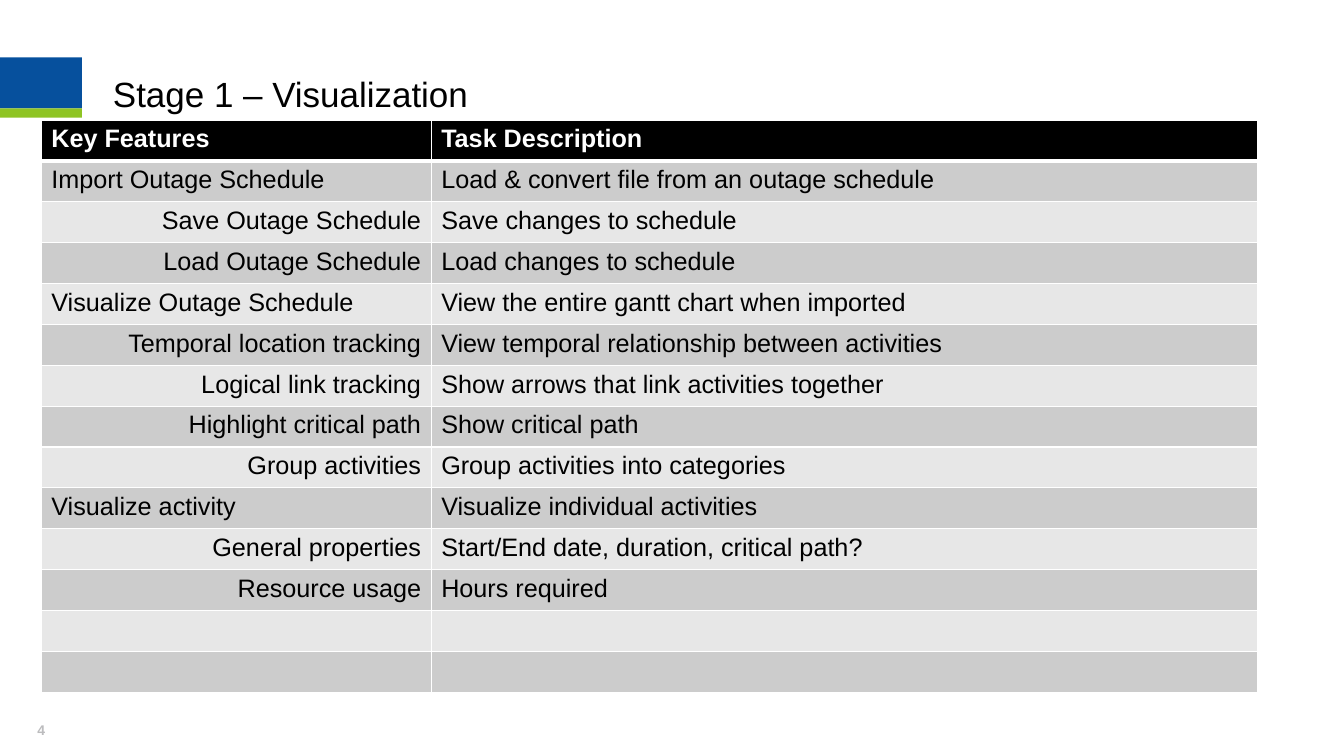
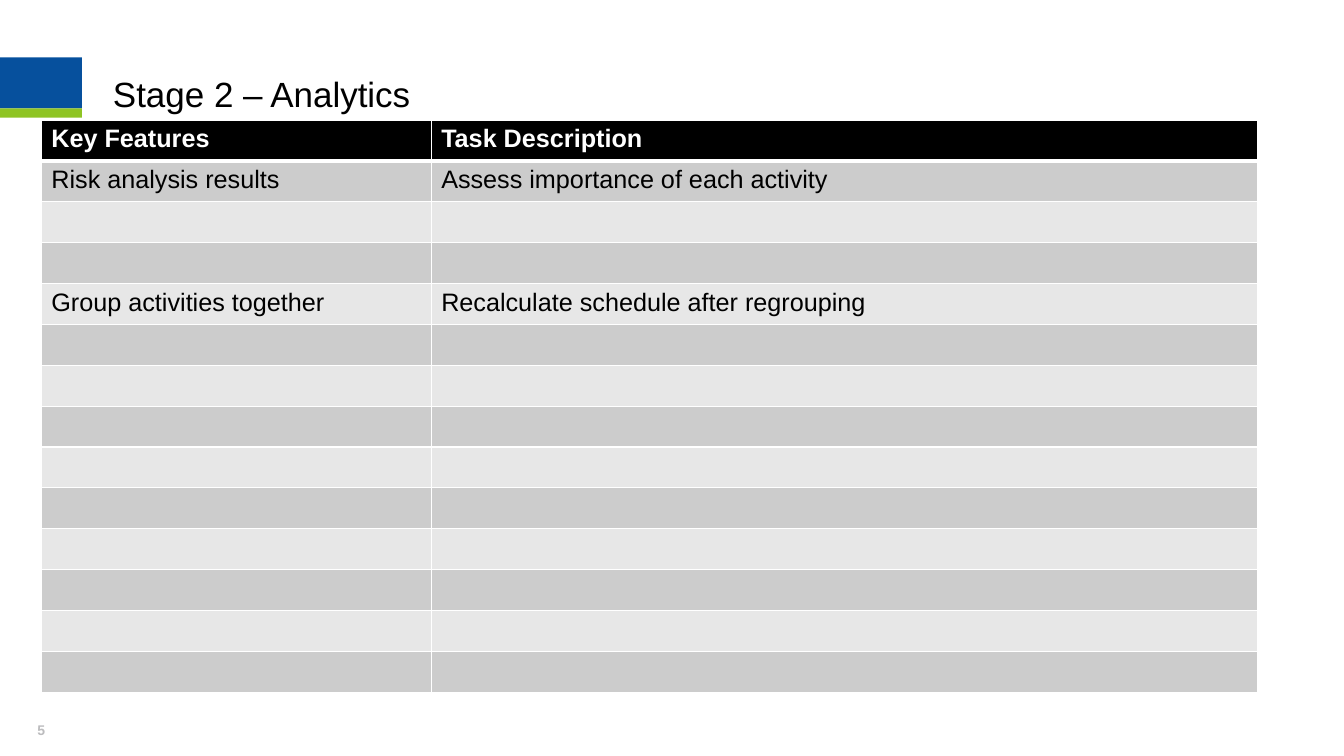
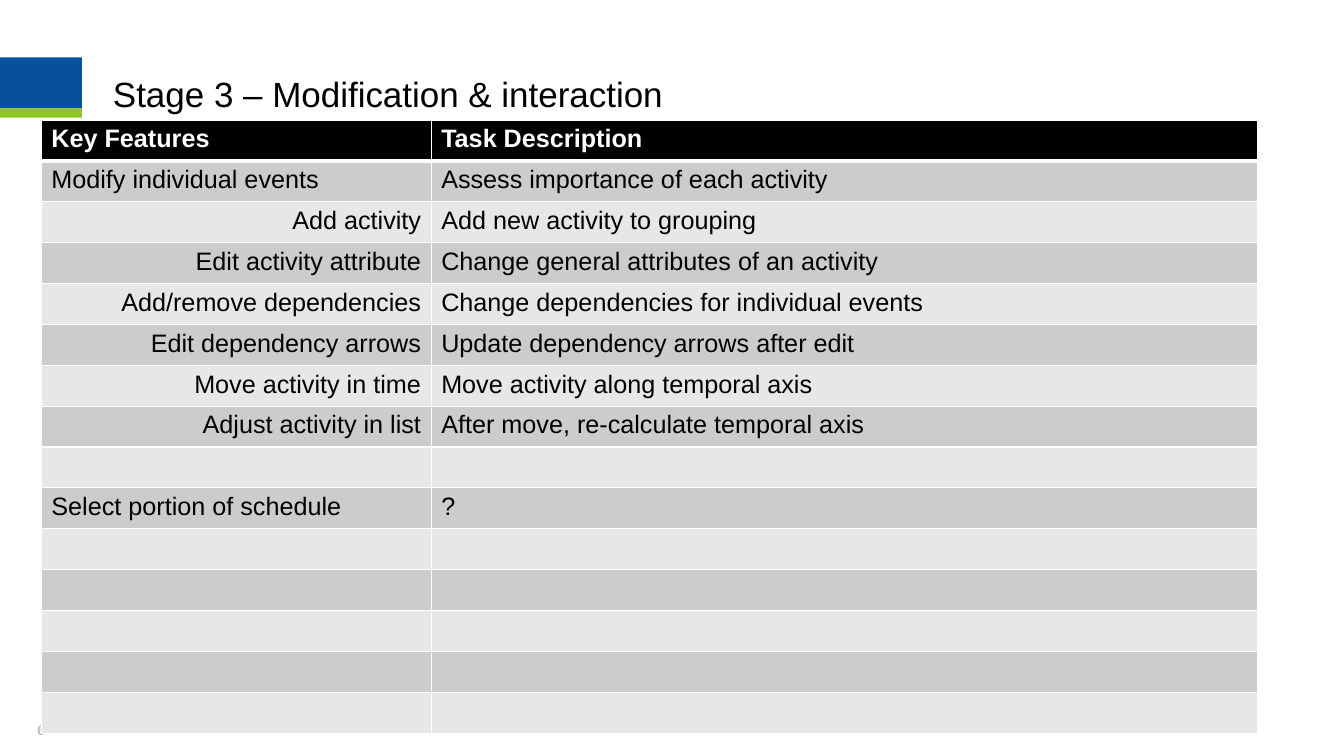
from pptx import Presentation
from pptx import util as u
from pptx.dml.color import RGBColor
from pptx.enum import shapes, text
from pptx.oxml import parse_xml
from pptx.oxml.ns import nsdecls

HEADINGS = ("Key Features", "Task Description")
BLANK = ("", "", 0)
STAGES = [
    {"title": "Stage 1 – Visualization", "title_width": 407, "rows": [
        ("Import Outage Schedule", "Load & convert file from an outage schedule", 0),
        ("Save Outage Schedule", "Save changes to schedule", 1),
        ("Load Outage Schedule", "Load changes to schedule", 1),
        ("Visualize Outage Schedule", "View the entire gantt chart when imported", 0),
        ("Temporal location tracking", "View temporal relationship between activities", 1),
        ("Logical link tracking", "Show arrows that link activities together", 1),
        ("Highlight critical path", "Show critical path", 1),
        ("Group activities", "Group activities into categories", 1),
        ("Visualize activity", "Visualize individual activities", 0),
        ("General properties", "Start/End date, duration, critical path?", 1),
        ("Resource usage", "Hours required", 1),
        *[BLANK] * 2,
    ]},
    {"title": "Stage 2 – Analytics", "title_width": 407, "rows": [
        ("Risk analysis results", "Assess importance of each activity", 0),
        *[BLANK] * 2,
        ("Group activities together", "Recalculate schedule after regrouping", 0),
        *[BLANK] * 9,
    ]},
    {"title": "Stage 3 – Modification & interaction", "title_width": 631.5, "rows": [
        ("Modify individual events", "Assess importance of each activity", 0),
        ("Add activity", "Add new activity to grouping", 1),
        ("Edit activity attribute", "Change general attributes of an activity", 1),
        ("Add/remove dependencies", "Change dependencies for individual events", 1),
        ("Edit dependency arrows", "Update dependency arrows after edit", 1),
        ("Move activity in time", "Move activity along temporal axis", 1),
        ("Adjust activity in list", "After move, re-calculate temporal axis", 1),
        BLANK,
        ("Select portion of schedule", "?", 0),
        *[BLANK] * 5,
    ]},
]
FIRST_NUMBER = 4
COLORS = {"blue": "06509D", "green": "8EC423", "black": "000000", "white": "FFFFFF",
          "dark_row": "CCCCCC", "light_row": "E7E7E7", "number": "BCBCBE"}
BANDS = [("blue", 41, 36.5), ("green", 77.5, 6.5)]
BAND_WIDTH = 58.5
COLUMNS = (278.5, 590.5)
ROW_HEIGHT = 29.2
TABLE_LEFT, TABLE_TOP = 29.5, 85.7
FONTS = {
    "title": {"name": "Arial", "size": u.Pt(25), "bold": False},
    "heading": {"name": "Arial", "size": u.Pt(18), "bold": True},
    "body": {"name": "Arial", "size": u.Pt(18), "bold": False},
}


def color(name):
    return RGBColor.from_string(COLORS[name])


def apply(target, values):
    for name, value in values.items():
        setattr(target, name, value)


def write(paragraph, words, style, ink):
    run = paragraph.add_run()
    run.text = words
    apply(run.font, FONTS[style])
    run.font.color.rgb = color(ink)


def move_bands_to_layout(slide, layout):
    for name, top, height in BANDS:
        shape = slide.shapes.add_shape(shapes.MSO_SHAPE.RECTANGLE, 0, u.Pt(top),
                                       u.Pt(BAND_WIDTH), u.Pt(height))
        shape.shadow.inherit = False
        shape.fill.solid()
        shape.fill.fore_color.rgb = color(name)
        shape.line.fill.background()
        layout.shapes.element.append(shape.element)


def add_title(slide, stage):
    title = slide.shapes.title
    apply(title, {"left": u.Pt(73.5), "top": u.Pt(48.2),
                  "width": u.Pt(stage["title_width"]), "height": u.Pt(37.5)})
    frame = title.text_frame
    apply(frame, {"word_wrap": True, "auto_size": text.MSO_AUTO_SIZE.NONE,
                  "vertical_anchor": text.MSO_ANCHOR.TOP})
    frame.paragraphs[0].alignment = text.PP_ALIGN.LEFT
    write(frame.paragraphs[0], stage["title"], "title", "black")


def add_number(slide, number):
    box = slide.shapes.add_textbox(u.Pt(12), u.Pt(511), u.Pt(35), u.Pt(29))
    frame = box.text_frame
    apply(frame, {"word_wrap": True, "vertical_anchor": text.MSO_ANCHOR.MIDDLE,
                  "margin_bottom": u.Pt(12)})
    paragraph = frame.paragraphs[0]
    paragraph.alignment = text.PP_ALIGN.CENTER
    paragraph._p.append(parse_xml(
        f'<a:fld {nsdecls("a")} id="{{B6F15528-21DE-4FAA-801E-634DDDAF4B2B}}" type="slidenum">'
        f'<a:rPr lang="en-US" sz="1000" b="1"><a:solidFill><a:srgbClr val="{COLORS["number"]}"/>'
        f'</a:solidFill><a:latin typeface="Arial"/></a:rPr><a:t>{number}</a:t></a:fld>'))


def set_borders(cell, top, bottom):
    widths = {"lnL": 1, "lnR": 1, "lnT": top, "lnB": bottom}
    for index, (side, width) in enumerate(widths.items()):
        cell._tc.get_or_add_tcPr().insert(index, parse_xml(
            f'<a:{side} {nsdecls("a")} w="{u.Pt(width)}"><a:solidFill>'
            f'<a:srgbClr val="{COLORS["white"]}"/></a:solidFill></a:{side}>'))


def add_table(slide, body):
    rows = [(*HEADINGS, 0), *body]
    frame = slide.shapes.add_table(len(rows), len(COLUMNS), u.Pt(TABLE_LEFT), u.Pt(TABLE_TOP),
                                   u.Pt(sum(COLUMNS)), u.Pt(ROW_HEIGHT * len(rows)))
    table = frame.table
    for column, width in zip(table.columns, COLUMNS):
        column.width = u.Pt(width)
    for index, (feature, task, level) in enumerate(rows):
        table.rows[index].height = u.Pt(ROW_HEIGHT)
        heading = index == 0
        fill = "black" if heading else "dark_row" if index % 2 else "light_row"
        for position, words in enumerate((feature, task)):
            cell = table.cell(index, position)
            cell.fill.solid()
            cell.fill.fore_color.rgb = color(fill)
            set_borders(cell, 3 if index == 1 else 1, 3 if heading else 1)
            paragraph = cell.text_frame.paragraphs[0]
            if level and position == 0:
                apply(paragraph, {"level": level, "alignment": text.PP_ALIGN.RIGHT})
            if words:
                write(paragraph, words, "heading" if heading else "body",
                      "white" if heading else "black")


def main():
    presentation = Presentation()
    apply(presentation, {"slide_width": u.Pt(960), "slide_height": u.Pt(540)})
    presentation.element.set("firstSlideNum", str(FIRST_NUMBER))
    layout = presentation.slide_layouts.get_by_name("Title Only")
    for number, stage in enumerate(STAGES, FIRST_NUMBER):
        slide = presentation.slides.add_slide(layout)
        if number == FIRST_NUMBER:
            move_bands_to_layout(slide, layout)
        add_title(slide, stage)
        add_number(slide, number)
        add_table(slide, stage["rows"])
    presentation.save("out.pptx")


if __name__ == "__main__":
    main()
